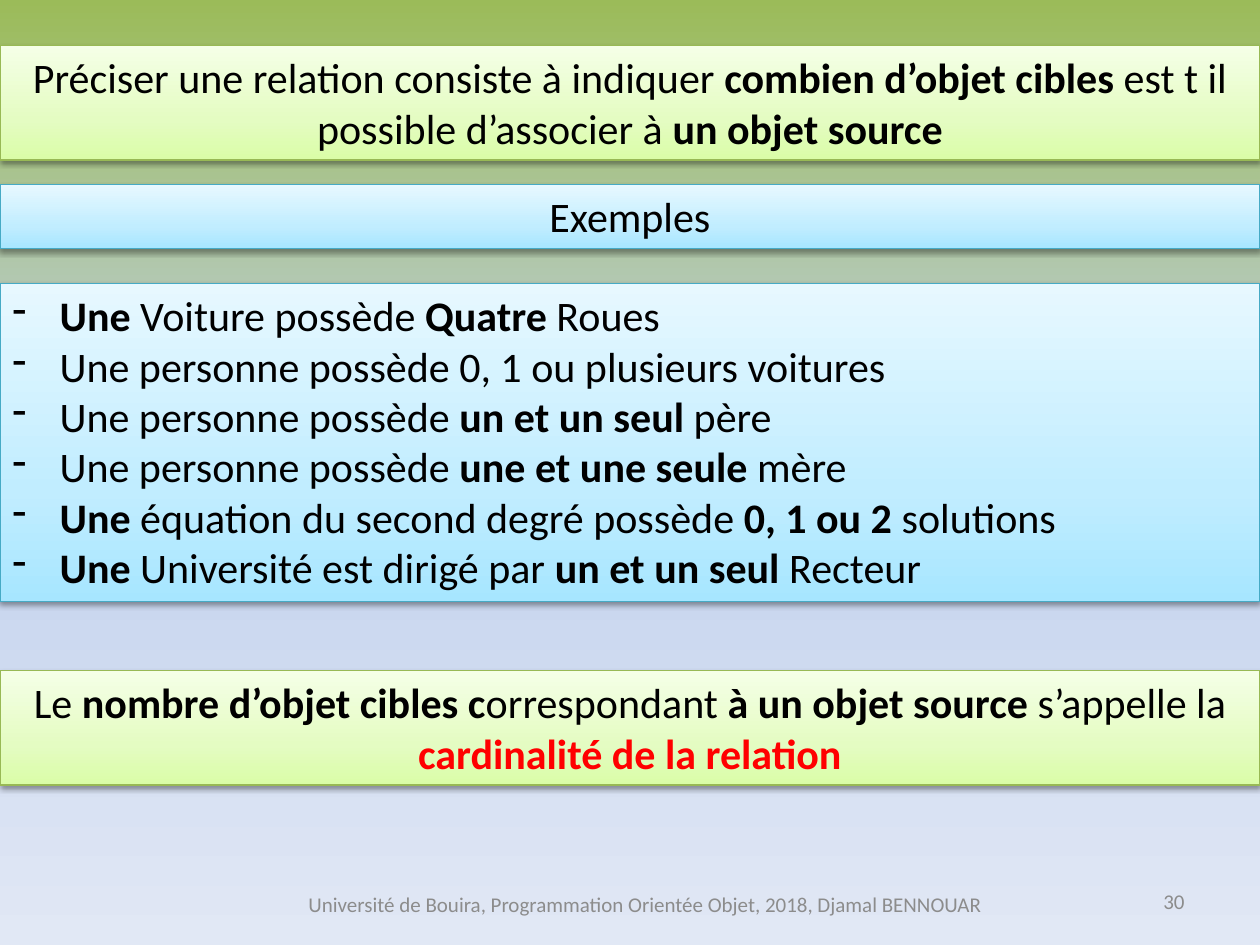
from lxml import etree
from pptx import Presentation
from pptx.dml.color import RGBColor
from pptx.enum import shapes, text
from pptx.oxml import ns
from pptx.util import Pt

GREEN = ("98B955", [(0, "DAFDA7"), (35, "E4FCC2"), (100, "F5FFE7")])
BLUE = ("46AAC5", [(0, "A7E6FF"), (35, "C1EDFF"), (100, "E7F8FF")])
SKY = [(0, "9BBB59"), (50, "C2D1ED"), (100, "E1E8F5")]
GREY, RED = "8C8C8C", "FF0000"
LEFT, MID, RIGHT = text.PP_ALIGN.LEFT, text.PP_ALIGN.CENTER, text.PP_ALIGN.RIGHT


def rgb(code):
    return RGBColor.from_string(code)


def sub(node, tag, **attrs):
    return etree.SubElement(node, ns.qn(tag), {k: str(v) for k, v in attrs.items()})


class Page:
    font, size, ink, width = "Calibri", 24, "000000", 720

    def __init__(self, slide):
        self.slide = slide

    def blend(self, fill, root, stops, angle):
        """Gradient fill with any number of stops."""
        fill.gradient()
        fill.gradient_angle = angle
        group = root.find(".//" + ns.qn("a:gsLst"))
        for old in list(group):
            group.remove(old)
        for pos, code in stops:
            sub(sub(group, "a:gs", pos=pos * 1000), "a:srgbClr", val=code)

    def back(self, stops):
        self.blend(self.slide.background.fill, self.slide.element, stops, 270)

    def shade(self, shape):
        shape.shadow.inherit = False
        group = shape.element.spPr.find(ns.qn("a:effectLst"))
        drop = sub(group, "a:outerShdw", blurRad=Pt(3.1), dist=Pt(1.6),
                   dir=5400000, rotWithShape=0)
        sub(sub(drop, "a:srgbClr", val="000000"), "a:alpha", val=38000)

    def words(self, frame, lines, align, size=size, ink=ink, dash=False):
        """Each line is a list of (words, bold[, colour]) runs."""
        frame.word_wrap = True
        for i, runs in enumerate(lines):
            para = frame.paragraphs[0] if i == 0 else frame.add_paragraph()
            para.alignment = align
            if dash:
                props = para._p.get_or_add_pPr()
                props.set("marL", str(Pt(27)))
                props.set("indent", str(Pt(-27)))
                sub(props, "a:buFontTx")
                sub(props, "a:buChar", char="-")
            for part, bold, *tint in runs:
                run = para.add_run()
                run.text = part
                font = run.font
                font.name, font.size, font.bold = self.font, Pt(size), bold
                font.color.rgb = rgb(tint[0] if tint else ink)

    def band(self, top, high, look, lines, align=MID, dash=False):
        """Full-width box with a gradient and a shadow."""
        line, stops = look
        box = self.slide.shapes.add_shape(
            shapes.MSO_SHAPE.RECTANGLE, 0, Pt(top), Pt(self.width), Pt(high))
        self.blend(box.fill, box.element, stops, 90)
        box.line.color.rgb = rgb(line)
        box.line.width = Pt(0.75)
        self.shade(box)
        frame = box.text_frame
        frame.vertical_anchor = text.MSO_ANCHOR.TOP
        frame.auto_size = text.MSO_AUTO_SIZE.SHAPE_TO_FIT_TEXT
        self.words(frame, lines, align, dash=dash)

    def note(self, left, top, width, label, align):
        """Small grey footer text."""
        box = self.slide.shapes.add_textbox(Pt(left), Pt(top), Pt(width), Pt(28.8))
        box.text_frame.vertical_anchor = text.MSO_ANCHOR.MIDDLE
        self.words(box.text_frame, [[(label, False)]], align, 12, GREY)


def main():
    deck = Presentation()
    deck.slide_width, deck.slide_height = Pt(720), Pt(540)
    page = Page(deck.slides.add_slide(deck.slide_layouts[6]))
    page.back(SKY)

    # Footer
    page.note(139, 502, 459.4, "Université de Bouira, Programmation Orientée Objet, "
              "2018, Djamal BENNOUAR", MID)
    page.note(516.2, 500.4, 167.8, "30", RIGHT)

    # Definition
    page.band(26, 65.4, GREEN, [[
        ("Préciser une relation consiste à indiquer ", False),
        ("combien d’objet cibles ", True),
        ("est t il possible d’associer à ", False),
        ("un objet source", True)]])

    # Examples
    page.band(105.6, 36.4, BLUE, [[("Exemples", False)]])
    page.band(162, 181.7, BLUE, [
        [("Une", True), (" Voiture possède ", False), ("Quatre", True), (" Roues", False)],
        [("Une personne possède 0, 1 ou plusieurs voitures", False)],
        [("Une personne possède ", False), ("un et un seul ", True), ("père", False)],
        [("Une personne possède ", False), ("une et une seule ", True), ("mère", False)],
        [("Une", True), (" équation du second degré possède ", False),
         ("0, 1 ou 2 ", True), ("solutions", False)],
        [("Une", True), (" Université est dirigé par", False),
         (" un et un seul", True), (" Recteur", False)],
    ], LEFT, dash=True)

    # Conclusion
    page.band(383.2, 65.4, GREEN, [[
        ("Le ", False), ("nombre d’objet cibles c", True), ("orrespondant", False),
        (" à un objet source ", True), ("s’appelle la ", False),
        ("cardinalité de la relation", True, RED)]])

    deck.save("out.pptx")


if __name__ == "__main__":
    main()
